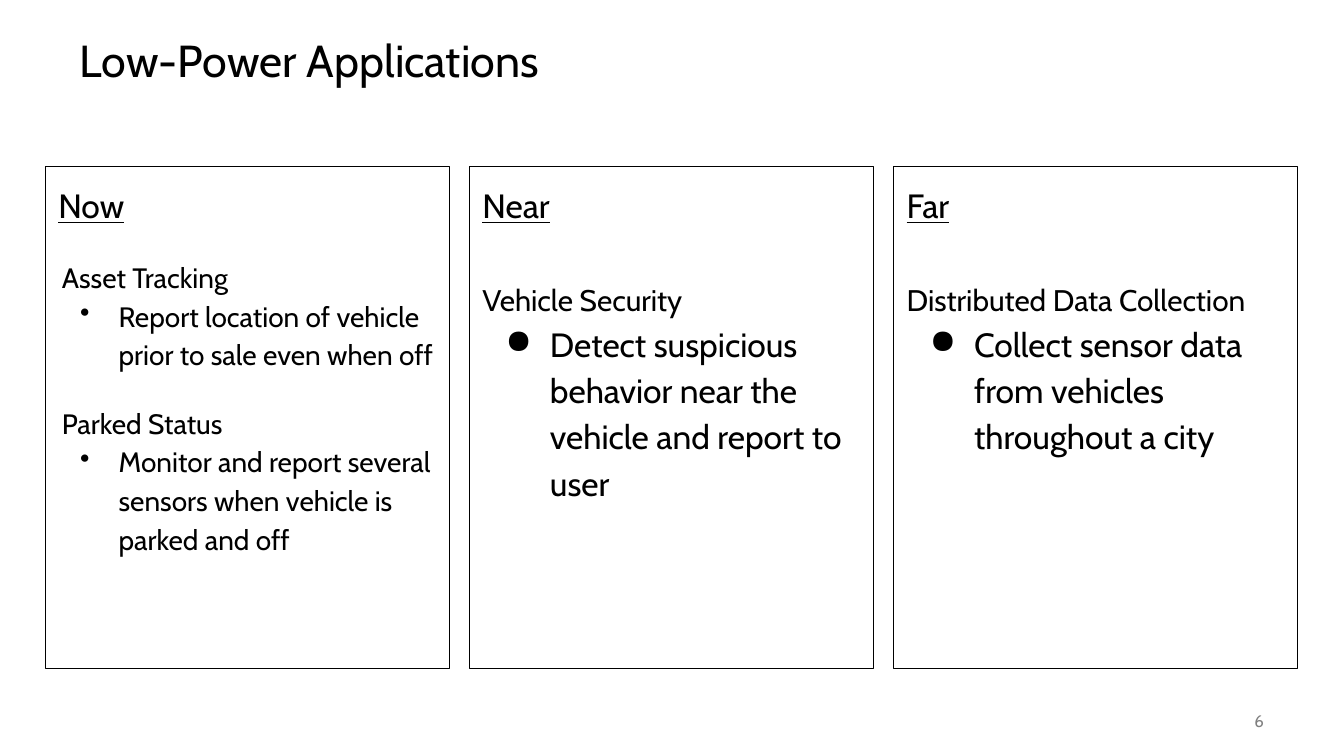
"""Build the slide on low-power vehicle applications now, near and far."""
from lxml import etree
from pptx import Presentation
from pptx.dml.color import RGBColor
from pptx.enum.shapes import MSO_SHAPE
from pptx.enum.text import MSO_ANCHOR, PP_ALIGN
from pptx.oxml.ns import qn
from pptx.util import Cm, Pt

RECTANGLE = MSO_SHAPE.RECTANGLE
TOP, MIDDLE = MSO_ANCHOR.TOP, MSO_ANCHOR.MIDDLE
LEFT, RIGHT = PP_ALIGN.LEFT, PP_ALIGN.RIGHT

FONT, BLACK, GRAY = "Cabin", "000000", "808080"
TITLE = "Low-Power Applications"
PAGE = "6"

COMPACT = dict(topic_size=20, detail_size=20, topic_gap=21.3, topic_indent=0.09,
               bullet="•", margin=1.52, hanging=0.97)
LARGE = dict(topic_size=21.3, detail_size=24, topic_gap=36.3, topic_indent=0,
             bullet="●", margin=1.7, hanging=1.12)

HORIZONS = [
    ("Now", COMPACT, [
        ("Asset Tracking", "Report location of vehicle prior to sale even when off"),
        ("Parked Status",
         "Monitor and report several sensors when vehicle is parked and off"),
    ]),
    ("Near", LARGE, [
        ("Vehicle Security",
         "Detect suspicious behavior near the vehicle and report to user"),
    ]),
    ("Far", LARGE, [
        ("Distributed Data Collection",
         "Collect sensor data from vehicles throughout a city"),
    ]),
]

PANEL_LEFT, PANEL_TOP = 1.14, 4.19
PANEL_WIDTH, PANEL_HEIGHT, PANEL_GAP = 10.19, 12.65, 0.5
INSET = 0.33


def color(value):
    return RGBColor.from_string(value)


def prepare_frame(shape, anchor):
    frame = shape.text_frame
    frame.word_wrap = True
    frame.vertical_anchor = anchor
    frame.margin_left = frame.margin_right = Cm(INSET)
    frame.margin_top = frame.margin_bottom = Cm(INSET)
    return frame


def write(paragraph, text, size, ink=BLACK, align=LEFT, spacing=1.15, underline=False):
    paragraph.alignment = align
    paragraph.line_spacing = spacing
    run = paragraph.add_run()
    run.text = text
    run.font.name = FONT
    run.font.size = Pt(size)
    run.font.underline = underline
    run.font.color.rgb = color(ink)


def indent(paragraph, margin, hanging=0, bullet=None):
    properties = paragraph._p.get_or_add_pPr()
    properties.set("marL", str(Cm(margin)))
    properties.set("indent", str(-Cm(hanging)))
    if bullet:
        bullet_color = etree.SubElement(properties, qn("a:buClr"))
        etree.SubElement(bullet_color, qn("a:srgbClr"), val=BLACK)
        etree.SubElement(properties, qn("a:buChar"), char=bullet)


def add_panel(slide, column, heading, style, topics):
    left = PANEL_LEFT + column * (PANEL_WIDTH + PANEL_GAP)
    panel = slide.shapes.add_shape(RECTANGLE, Cm(left), Cm(PANEL_TOP),
                                   Cm(PANEL_WIDTH), Cm(PANEL_HEIGHT))
    panel.shadow.inherit = False
    panel.fill.background()
    panel.line.color.rgb = color(BLACK)
    panel.line.width = Pt(0.75)
    frame = prepare_frame(panel, TOP)
    write(frame.paragraphs[0], heading, 24, underline=True)
    for topic, detail in topics:
        topic_line = frame.add_paragraph()
        indent(topic_line, style["topic_indent"])
        topic_line.space_before = Pt(style["topic_gap"])
        write(topic_line, topic, style["topic_size"])
        detail_line = frame.add_paragraph()
        indent(detail_line, style["margin"], style["hanging"], style["bullet"])
        write(detail_line, detail, style["detail_size"])


def main():
    deck = Presentation()
    deck.slide_width, deck.slide_height = Cm(33.87), Cm(19.05)
    slide = deck.slides.add_slide(deck.slide_layouts.get_by_name("Title Only"))

    title = slide.shapes.title
    title.left, title.top, title.width, title.height = Cm(1.68), Cm(0.64), Cm(30.48), Cm(1.9)
    write(prepare_frame(title, TOP).paragraphs[0], TITLE, 32, spacing=0.9)

    for column, (heading, style, topics) in enumerate(HORIZONS):
        add_panel(slide, column, heading, style, topics)

    page = slide.shapes.add_textbox(Cm(29.64), Cm(17.65), Cm(2.54), Cm(1.02))
    write(prepare_frame(page, MIDDLE).paragraphs[0], PAGE, 12, GRAY, RIGHT, 1.0)

    deck.save("out.pptx")


if __name__ == "__main__":
    main()
